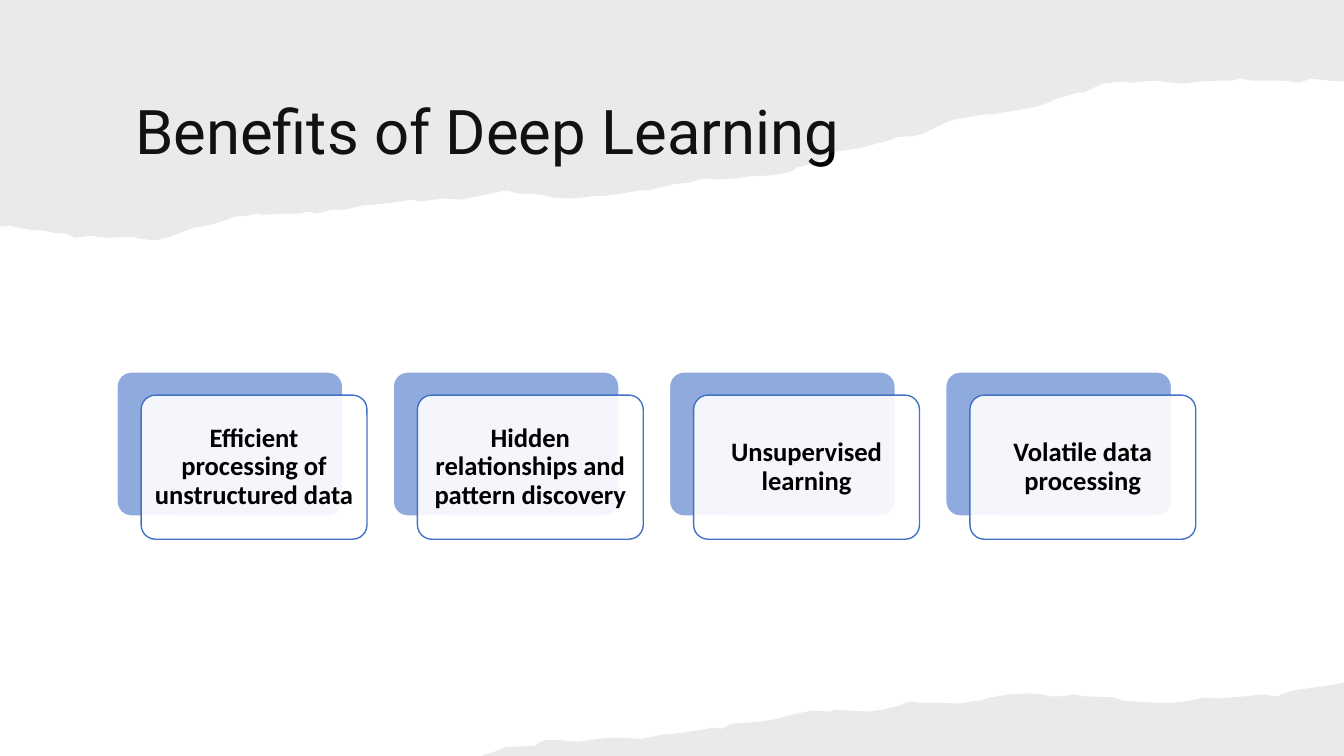
from lxml.etree import SubElement
from pptx import Presentation
from pptx.dml.color import RGBColor
from pptx.enum.shapes import MSO_SHAPE
from pptx.enum.text import MSO_ANCHOR, PP_ALIGN
from pptx.oxml.ns import qn
from pptx.util import Inches, Pt

BLACK = RGBColor(0x00, 0x00, 0x00)
WHITE = RGBColor(0xFF, 0xFF, 0xFF)
TAUPE = RGBColor(0x82, 0x76, 0x6A)
LIGHT_BLUE = RGBColor(0x8F, 0xAA, 0xDC)
BLUE = RGBColor(0x44, 0x72, 0xC4)

TOP_TEAR = [
    (0, 0), (13.33, 0), (13.33, 0.8), (13.29, 0.81), (13.18, 0.8), (13, 0.78),
    (12.89, 0.82), (12.74, 0.8), (12.64, 0.8), (12.42, 0.8), (12.31, 0.78),
    (12.21, 0.8), (12.09, 0.8), (11.9, 0.81), (11.74, 0.83), (11.44, 0.8),
    (11.21, 0.82), (11.12, 0.81), (10.93, 0.83), (10.85, 0.87), (10.74, 0.92),
    (10.68, 0.92), (10.59, 0.95), (10.47, 0.98), (10.39, 1.02), (10.31, 1.05),
    (10.17, 1.08), (10.04, 1.1), (9.86, 1.13), (9.72, 1.14), (9.57, 1.17),
    (9.48, 1.18), (9.39, 1.21), (9.25, 1.28), (9.15, 1.33), (9.05, 1.35),
    (8.9, 1.36), (8.83, 1.39), (8.71, 1.42), (8.57, 1.46), (8.52, 1.47),
    (8.25, 1.51), (8.18, 1.57), (8.07, 1.62), (7.91, 1.66), (7.83, 1.71),
    (7.65, 1.74), (7.43, 1.75), (7.28, 1.77), (7.12, 1.78), (6.98, 1.77),
    (6.84, 1.81), (6.67, 1.83), (6.43, 1.89), (6.33, 1.89), (6.17, 1.92),
    (6.02, 1.94), (5.85, 1.95), (5.67, 1.97), (5.48, 1.96), (5.41, 1.94),
    (5.26, 1.92), (5.13, 1.92), (5.04, 1.89), (4.96, 1.9), (4.88, 1.92),
    (4.72, 1.95), (4.58, 1.98), (4.41, 1.97), (4.3, 1.98), (4.17, 2),
    (4.08, 1.98), (3.9, 2.01), (3.72, 2.03), (3.59, 2.04), (3.42, 2.08),
    (3.29, 2.08), (3.14, 2.12), (3.06, 2.1), (2.97, 2.12), (2.82, 2.12),
    (2.6, 2.13), (2.54, 2.12), (2.45, 2.14), (2.32, 2.15), (2.25, 2.18),
    (2.16, 2.21), (2.05, 2.24), (1.92, 2.26), (1.79, 2.31), (1.68, 2.35),
    (1.57, 2.38), (1.5, 2.38), (1.4, 2.37), (1.31, 2.35), (1.06, 2.36),
    (0.89, 2.34), (0.75, 2.36), (0.65, 2.32), (0.53, 2.31), (0.45, 2.29),
    (0.3, 2.28), (0.19, 2.26), (0.1, 2.24), (0, 2.25),
]
BOTTOM_TEAR = [
    (13.33, 6.77), (13.33, 7.5), (4.77, 7.5), (4.82, 7.48), (4.93, 7.45),
    (5.02, 7.41), (5.3, 7.4), (5.36, 7.36), (5.42, 7.34), (5.53, 7.34),
    (5.74, 7.36), (5.86, 7.34), (6.03, 7.32), (6.19, 7.32), (6.36, 7.33),
    (6.57, 7.29), (6.69, 7.28), (6.83, 7.26), (6.96, 7.24), (7.06, 7.22),
    (7.16, 7.23), (7.26, 7.18), (7.4, 7.17), (7.53, 7.16), (7.67, 7.14),
    (7.78, 7.11), (7.9, 7.08), (8.06, 7.05), (8.23, 7.06), (8.29, 7.04),
    (8.61, 7.06), (8.76, 7.04), (8.92, 7), (9.02, 6.96), (9.11, 6.97),
    (9.25, 6.97), (9.5, 6.98), (9.65, 6.96), (9.72, 6.95), (9.82, 6.92),
    (10.01, 6.89), (10.18, 6.88), (10.34, 6.89), (10.42, 6.91), (10.51, 6.91),
    (10.66, 6.89), (10.75, 6.91), (10.83, 6.91), (11.05, 6.92), (11.13, 6.95),
    (11.4, 6.97), (11.65, 6.97), (11.81, 6.95), (11.94, 6.92), (12.1, 6.93),
    (12.2, 6.92), (12.34, 6.91), (12.52, 6.89), (12.67, 6.91), (12.72, 6.88),
    (12.88, 6.84), (12.97, 6.83), (13.11, 6.81), (13.25, 6.79),
]
BENEFITS = [
    "Efficient processing of unstructured data",
    "Hidden relationships and pattern discovery",
    "Unsupervised learning",
    "Volatile data processing",
]
CARD_LEFT, CARD_TOP, CARD_PITCH = 1.16, 3.69, 2.74
CARD_WIDTH, CARD_HEIGHT = 2.24, 1.43
FRONT_SHIFT_X, FRONT_SHIFT_Y = 0.24, 0.23


class TornPaperSlide:
    """Holds the slide and its style, and draws each kind of element."""

    title_font = {"name": "Roboto", "size": Pt(44), "bold": False}
    card_font = {"name": "Calibri", "size": Pt(19), "bold": True}

    def __init__(self, deck):
        self.slide = deck.slides.add_slide(deck.slide_layouts[5])

    def apply(self, target, formats):
        for attribute, value in formats.items():
            setattr(target, attribute, value)

    def paint(self, shape, color, opacity=100):
        shape.shadow.inherit = False
        shape.fill.solid()
        shape.fill.fore_color.rgb = color
        if opacity < 100:
            tint = shape.element.spPr.find(qn("a:solidFill"))[0]
            SubElement(tint, qn("a:alpha"), val=str(opacity * 1000))

    def set_text(self, shape, text, font, alignment, inset):
        frame = shape.text_frame
        frame.text = text
        self.apply(frame, {
            "word_wrap": True,
            "vertical_anchor": MSO_ANCHOR.MIDDLE,
            "margin_left": inset, "margin_right": inset,
            "margin_top": inset, "margin_bottom": inset,
        })
        paragraph = frame.paragraphs[0]
        self.apply(paragraph, {"alignment": alignment, "line_spacing": 0.9})
        self.apply(paragraph.runs[0].font, font)
        paragraph.runs[0].font.color.rgb = BLACK

    def title(self, text):
        heading = self.slide.shapes.title
        self.apply(heading, {
            "left": Inches(1.24), "top": Inches(0.81),
            "width": Inches(10.14), "height": Inches(1.04),
        })
        self.set_text(heading, text, self.title_font, PP_ALIGN.LEFT, Inches(0.1))

    def torn_paper(self, edge):
        start, *rest = [(Inches(x), Inches(y)) for x, y in edge]
        outline = self.slide.shapes.build_freeform(*start)
        outline.add_line_segments(rest)
        paper = outline.convert_to_shape()
        self.paint(paper, TAUPE, 15)
        paper.line.fill.background()

    def card(self, left, top, color, border, opacity=100):
        card = self.slide.shapes.add_shape(
            MSO_SHAPE.ROUNDED_RECTANGLE, Inches(left), Inches(top),
            Inches(CARD_WIDTH), Inches(CARD_HEIGHT))
        card.adjustments[0] = 0.1
        self.paint(card, color, opacity)
        card.line.color.rgb = border
        card.line.width = Pt(1)
        return card

    def benefit(self, left, text):
        self.card(left, CARD_TOP, LIGHT_BLUE, WHITE)
        front = self.card(left + FRONT_SHIFT_X, CARD_TOP + FRONT_SHIFT_Y, WHITE, BLUE, 90)
        self.set_text(front, text, self.card_font, PP_ALIGN.CENTER, Inches(0.08))


def main():
    deck = Presentation()
    deck.slide_width, deck.slide_height = Inches(13.33), Inches(7.5)
    page = TornPaperSlide(deck)
    page.torn_paper(TOP_TEAR)
    page.title("Benefits of Deep Learning")
    page.torn_paper(BOTTOM_TEAR)
    for position, text in enumerate(BENEFITS):
        page.benefit(CARD_LEFT + position * CARD_PITCH, text)
    deck.save("out.pptx")


if __name__ == "__main__":
    main()
